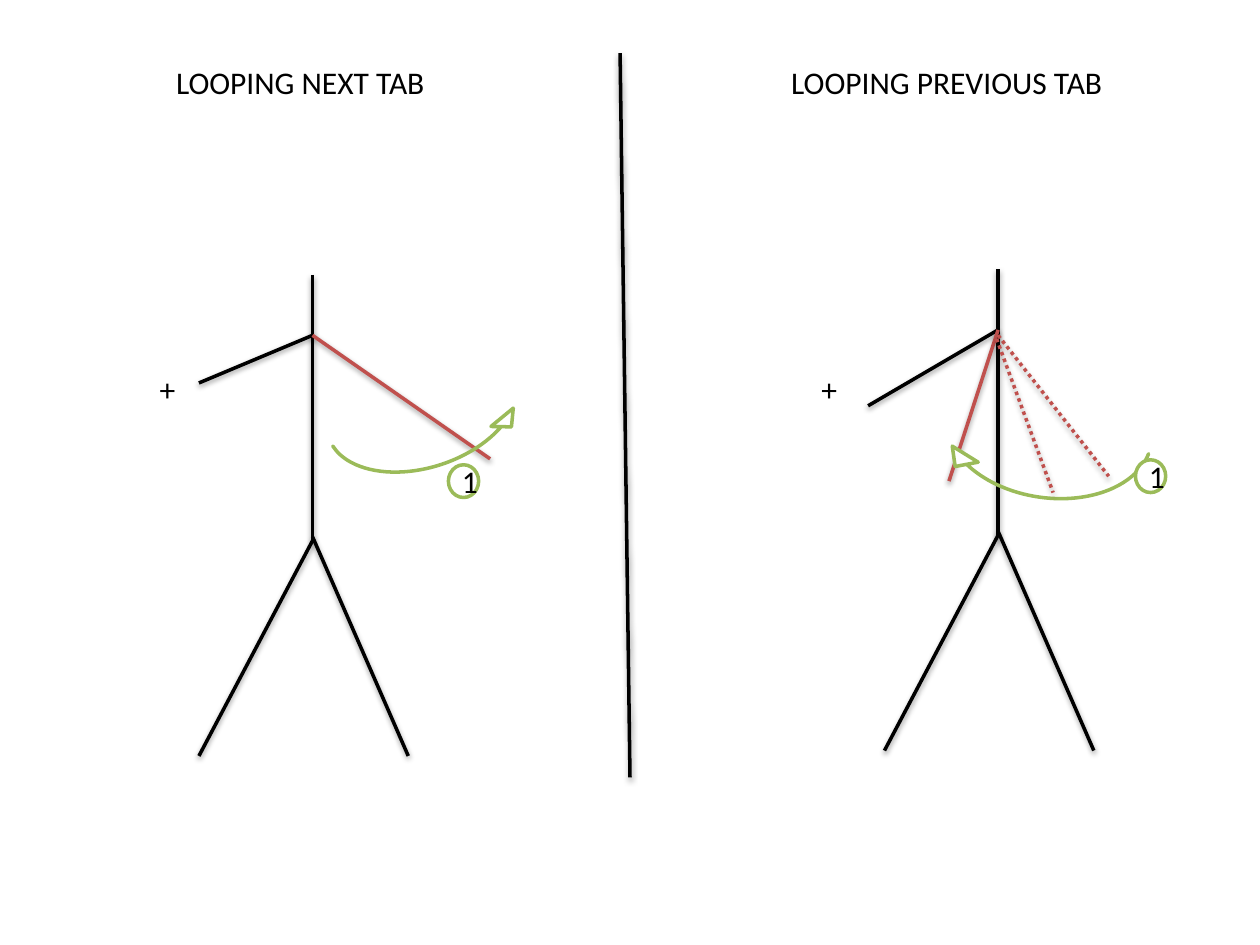
"""Build a slide of two stick figures showing the looping tab gestures."""
from dataclasses import dataclass
from typing import Any

import lxml.etree
import pptx
import pptx.dml.color
import pptx.enum.dml
import pptx.enum.shapes
import pptx.enum.text
import pptx.oxml.ns
import pptx.util

Cm = pptx.util.Cm
Pt = pptx.util.Pt
RGBColor = pptx.dml.color.RGBColor
ShapeType = pptx.enum.shapes.MSO_SHAPE
Point = tuple[float, float]

BLACK = RGBColor(0x00, 0x00, 0x00)
WHITE = RGBColor(0xFF, 0xFF, 0xFF)
RED = RGBColor(0xC0, 0x50, 0x4D)
GREEN = RGBColor(0x9B, 0xBB, 0x59)

LINE_WIDTH = Pt(2)
LABEL_HEIGHT = 1.02
PLUS_TOP, PLUS_WIDTH = 7.34, 0.84
SHOULDER_DROP, HIP_DROP, THIGH_DROP, FOOT_DROP = 1.22, 5.36, 5.28, 9.7
LEFT_FOOT, RIGHT_FOOT = -2.29, 1.93
ARC_ADJUSTMENTS = (0, 7.986, 196.478, 111.463, 0.072)
FONT_FORMAT = {"name": "Calibri", "size": Pt(18)}
LABEL_FORMAT = {
    "word_wrap": False,
    "auto_size": pptx.enum.text.MSO_AUTO_SIZE.SHAPE_TO_FIT_TEXT,
}
BADGE_FORMAT = {"vertical_anchor": pptx.enum.text.MSO_ANCHOR.MIDDLE}
SHADOW_FORMAT = {"blurRad": "40000", "dist": "20000", "dir": "5400000", "rotWithShape": "0"}


@dataclass(frozen=True)
class Box:
    left: float
    top: float
    width: float
    height: float

    def lengths(self) -> list[Any]:
        """Return the four sides as slide lengths."""
        return [Cm(value) for value in (self.left, self.top, self.width, self.height)]


@dataclass(frozen=True)
class Arc:
    box: Box
    rotation: float
    flips: tuple[str, ...]


@dataclass(frozen=True)
class Gesture:
    title: str
    title_left: float
    title_width: float
    plus_left: float
    head: Point
    still_hand: Point
    moving_hand: Point
    arc: Arc
    badge: Point
    trails: tuple[tuple[Point, Point], ...] = ()


GESTURES = (
    Gesture(
        "LOOPING NEXT TAB", 3.3, 5.56, 2.97,
        head=(6.3, 5.54), still_hand=(4.01, 7.72), moving_hand=(9.88, 9.25),
        arc=Arc(Box(6.32, 6.76, 4.39, 2.87), 341.8, ("flipV",)),
        badge=(9.04, 9.37),
    ),
    Gesture(
        "LOOPING PREVIOUS TAB", 15.7, 6.83, 16.31,
        head=(20.12, 5.43), still_hand=(17.5, 8.18), moving_hand=(19.13, 9.7),
        arc=Arc(Box(18.8, 6.99, 4.67, 3.28), 8.6, ("flipH", "flipV")),
        badge=(22.89, 9.27),
        trails=(((20.12, 6.76), (22.35, 9.6)), ((20.09, 6.83), (21.23, 9.93))),
    ),
)


def apply_format(target: Any, values: dict[str, Any]) -> None:
    """Set each named attribute on the target."""
    for name, value in values.items():
        setattr(target, name, value)


def add_shadow(connector: Any) -> None:
    """Give a connector its soft downward shadow."""
    qualify = pptx.oxml.ns.qn
    properties = connector._element.spPr
    effects = lxml.etree.SubElement(properties, qualify("a:effectLst"))
    shadow = lxml.etree.SubElement(effects, qualify("a:outerShdw"), SHADOW_FORMAT)
    color = lxml.etree.SubElement(shadow, qualify("a:srgbClr"), val="000000")
    lxml.etree.SubElement(color, qualify("a:alpha"), val="38000")


def add_line(slide: Any, start: Point, end: Point, color: RGBColor = BLACK,
             dotted: bool = False) -> None:
    """Draw a straight shadowed line."""
    connector = slide.shapes.add_connector(
        pptx.enum.shapes.MSO_CONNECTOR.STRAIGHT, *(Cm(value) for value in (*start, *end)))
    connector.line.width = LINE_WIDTH
    connector.line.color.rgb = color
    if dotted:
        connector.line.dash_style = pptx.enum.dml.MSO_LINE.ROUND_DOT
        dash = connector._element.spPr.find(".//" + pptx.oxml.ns.qn("a:prstDash"))
        dash.set("val", "sysDot")
    add_shadow(connector)


def write_text(shape: Any, text: str, frame_format: dict[str, Any]) -> Any:
    """Write one formatted paragraph into a shape and return it."""
    apply_format(shape.text_frame, frame_format)
    paragraph = shape.text_frame.paragraphs[0]
    run = paragraph.add_run()
    run.text = text
    apply_format(run.font, FONT_FORMAT)
    run.font.color.rgb = BLACK
    return paragraph


def add_label(slide: Any, text: str, box: Box) -> None:
    """Add an unwrapped label."""
    write_text(slide.shapes.add_textbox(*box.lengths()), text, LABEL_FORMAT)


def add_green_shape(slide: Any, kind: Any, box: Box) -> Any:
    """Add a white shape with a green outline."""
    shape = slide.shapes.add_shape(kind, *box.lengths())
    shape.shadow.inherit = False
    shape.fill.solid()
    shape.fill.fore_color.rgb = WHITE
    shape.line.color.rgb = GREEN
    shape.line.width = LINE_WIDTH
    return shape


def add_arc(slide: Any, arc: Arc) -> None:
    """Draw the curved arrow of the gesture."""
    shape = add_green_shape(slide, ShapeType.CIRCULAR_ARROW, arc.box)
    for index, value in enumerate(ARC_ADJUSTMENTS):
        shape.adjustments[index] = value
    shape.rotation = arc.rotation
    for flip in arc.flips:
        shape._element.spPr.xfrm.set(flip, "1")


def add_badge(slide: Any, corner: Point) -> None:
    """Draw the numbered step circle."""
    shape = add_green_shape(slide, ShapeType.OVAL, Box(*corner, 0.61, 0.66))
    paragraph = write_text(shape, "1", BADGE_FORMAT)
    paragraph.alignment = pptx.enum.text.PP_ALIGN.CENTER


def add_gesture(slide: Any, gesture: Gesture) -> None:
    """Draw one figure with its labels and movement."""
    center, top = gesture.head
    shoulder = (center, top + SHOULDER_DROP)
    hip = (center, top + HIP_DROP)
    foot_level = top + FOOT_DROP
    add_label(slide, gesture.title,
              Box(gesture.title_left, 1.14, gesture.title_width, LABEL_HEIGHT))
    add_label(slide, "+", Box(gesture.plus_left, PLUS_TOP, PLUS_WIDTH, LABEL_HEIGHT))
    add_line(slide, gesture.head, hip)
    add_line(slide, hip, (center + LEFT_FOOT, foot_level))
    add_line(slide, (center, top + THIGH_DROP), (center + RIGHT_FOOT, foot_level))
    add_line(slide, shoulder, gesture.still_hand)
    add_line(slide, shoulder, gesture.moving_hand, RED)
    add_arc(slide, gesture.arc)
    add_badge(slide, gesture.badge)
    for start, end in gesture.trails:
        add_line(slide, start, end, RED, dotted=True)


def main() -> None:
    """Build and save the presentation."""
    presentation = pptx.Presentation()
    apply_format(presentation, {"slide_width": Cm(25.4), "slide_height": Cm(19.05)})
    slide = presentation.slides.add_slide(presentation.slide_layouts[6])
    add_line(slide, (12.5, 1.07), (12.7, 15.67))
    for gesture in GESTURES:
        add_gesture(slide, gesture)
    presentation.save("out.pptx")


if __name__ == "__main__":
    main()
